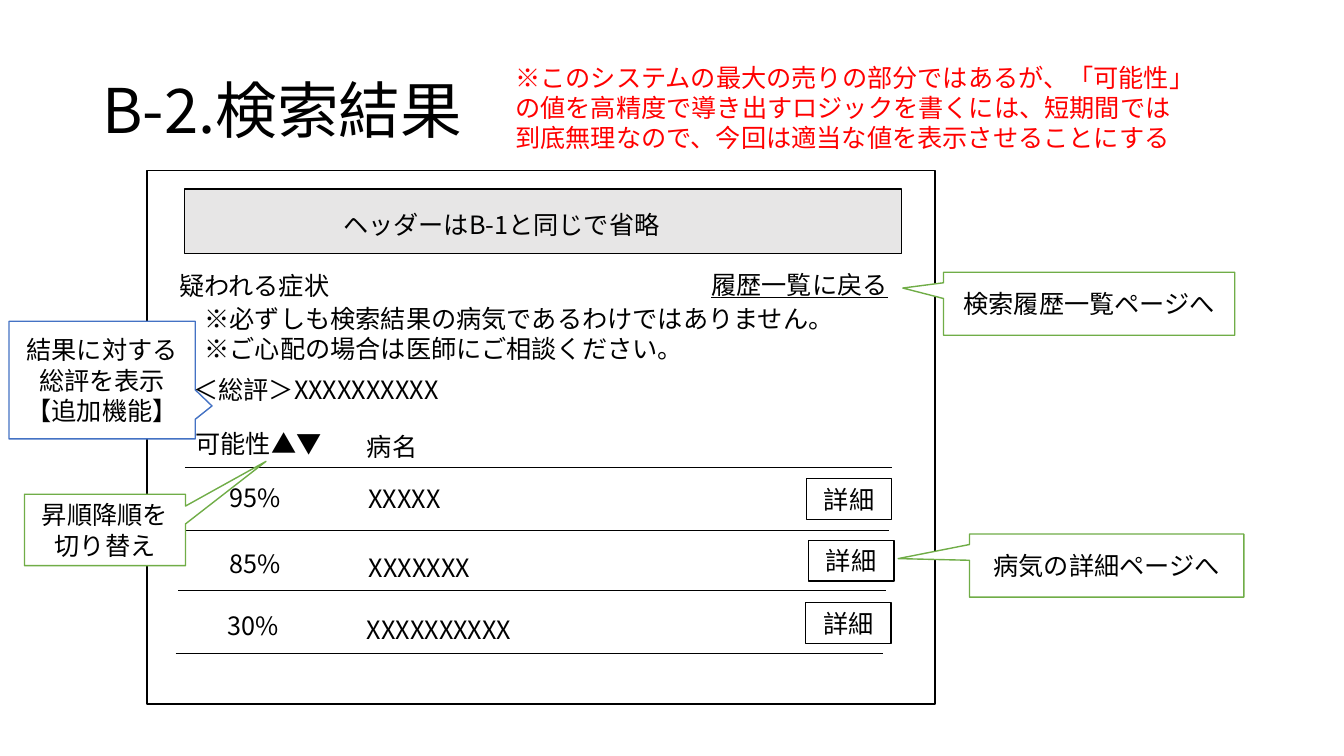
from lxml import etree
from pptx import Presentation
from pptx.dml.color import RGBColor
from pptx.enum.shapes import MSO_CONNECTOR, MSO_SHAPE
from pptx.enum.text import MSO_ANCHOR, PP_ALIGN
from pptx.oxml.ns import qn
from pptx.util import Pt

RECTANGLE = MSO_SHAPE.RECTANGLE
CALLOUT = MSO_SHAPE.RECTANGULAR_CALLOUT
STRAIGHT = MSO_CONNECTOR.STRAIGHT
LEFT, CENTER = PP_ALIGN.LEFT, PP_ALIGN.CENTER
TOP, MIDDLE = MSO_ANCHOR.TOP, MSO_ANCHOR.MIDDLE

BLACK, WHITE, GRAY = "000000", "FFFFFF", "E7E6E6"
RED, GREEN, BLUE = "FF0000", "70AD47", "4472C4"
LINE_HEIGHT = 29
RULE_WIDTH = 505.5


def color(value):
    return RGBColor.from_string(value)


class WireframeSlide:
    """Draws the elements of a screen wireframe in one shared style."""

    font_name = "Noto Sans CJK JP"
    font_size = 18

    def __init__(self, slide):
        self.shapes = slide.shapes

    def set_text(self, shape, content, font_color=BLACK, size=font_size,
                 align=LEFT, anchor=TOP, underline=None, spacing=None):
        text_frame = shape.text_frame
        text_frame.word_wrap = True
        text_frame.vertical_anchor = anchor
        text_frame.text = content
        for paragraph in text_frame.paragraphs:
            paragraph.alignment = align
            paragraph.line_spacing = spacing
            for run in paragraph.runs:
                font = run.font
                font.name = self.font_name
                font.size = Pt(size)
                font.underline = underline
                font.color.rgb = color(font_color)
                latin = font._element.find(qn("a:latin"))
                east_asian = etree.Element(qn("a:ea"), typeface=self.font_name)
                latin.addnext(east_asian)

    def text(self, left, top, width, content, height=LINE_HEIGHT, **style):
        box = self.shapes.add_textbox(Pt(left), Pt(top), Pt(width), Pt(height))
        self.set_text(box, content, **style)

    def box(self, left, top, width, height, content="", fill=WHITE,
            line=BLACK, preset=RECTANGLE):
        shape = self.shapes.add_shape(
            preset, Pt(left), Pt(top), Pt(width), Pt(height))
        shape.shadow.inherit = False
        shape.fill.solid()
        shape.fill.fore_color.rgb = color(fill)
        shape.line.color.rgb = color(line)
        shape.line.width = Pt(1)
        if content:
            self.set_text(shape, content, align=CENTER, anchor=MIDDLE)
        return shape

    def callout(self, left, top, width, height, tip, content, line=GREEN):
        shape = self.box(left, top, width, height, content,
                         line=line, preset=CALLOUT)
        shape.adjustments[0], shape.adjustments[1] = tip

    def rule(self, left, top):
        connector = self.shapes.add_connector(
            STRAIGHT, Pt(left), Pt(top), Pt(left + RULE_WIDTH), Pt(top))
        connector.line.color.rgb = color(BLACK)
        connector.line.width = Pt(0.5)
        etree.SubElement(connector._element.spPr, qn("a:effectLst"))


presentation = Presentation()
presentation.slide_width = Pt(960)
presentation.slide_height = Pt(540)
slide = presentation.slides.add_slide(presentation.slide_layouts[6])
wireframe = WireframeSlide(slide)

wireframe.text(66, 29, 828, "B-2.検索結果", height=104, size=44,
               anchor=MIDDLE, spacing=0.9)
wireframe.text(361, 41, 512,
               "※このシステムの最大の売りの部分ではあるが、「可能性」\n"
               "の値を高精度で導き出すロジックを書くには、短期間では\n"
               "到底無理なので、今回は適当な値を表示させることにする",
               height=94, font_color=RED)

wireframe.box(105, 122, 563, 381)
wireframe.box(132, 135, 512, 46, fill=GRAY)
wireframe.text(238, 146, 253, "ヘッダーはB-1と同じで省略")
wireframe.text(121, 189.5, 146, "疑われる症状")
wireframe.text(501, 188.5, 142, "履歴一覧に戻る", underline=True)

wireframe.rule(132, 333.5)
wireframe.text(132.5, 302.5, 146, "可能性▲▼")
wireframe.text(255, 304.5, 146, "病名")

result_rows = [
    ("95%", 157, 341, "XXXXX", 256, 342, 576, 342, 129.5, 378.5),
    ("85%", 157, 388, "XXXXXXX", 256.5, 391, 577.5, 386, 127.5, 422),
    ("30%", 155.5, 432.5, "XXXXXXXXXX", 255, 435, 575.5, 430.5, 125.5, 466.5),
]
for (chance, chance_left, chance_top, disease, disease_left, disease_top,
     button_left, button_top, rule_left, rule_top) in result_rows:
    wireframe.text(chance_left, chance_top, 117, chance)
    wireframe.text(disease_left, disease_top, 147, disease)
    wireframe.box(button_left, button_top, 61, LINE_HEIGHT, "詳細")
    wireframe.rule(rule_left, rule_top)

wireframe.callout(692.5, 381.5, 196, 45, (-0.76, -0.11), "病気の詳細ページへ")
wireframe.callout(674, 194.5, 208, 45, (-0.64, -0.25), "検索履歴一覧ページへ")
wireframe.callout(6.5, 229.5, 133, 84, (0.59, 0.22),
                  "結果に対する\n総評を表示\n【追加機能】", line=BLUE)
wireframe.callout(17.5, 353, 115, 51, (1, -0.96), "昇順降順を\n切り替え")

wireframe.text(139, 213, 478,
               "※必ずしも検索結果の病気であるわけではありません。\n"
               "※ご心配の場合は医師にご相談ください。", height=51)
wireframe.text(131, 263.5, 287, "＜総評＞XXXXXXXXXX")

presentation.save("out.pptx")
